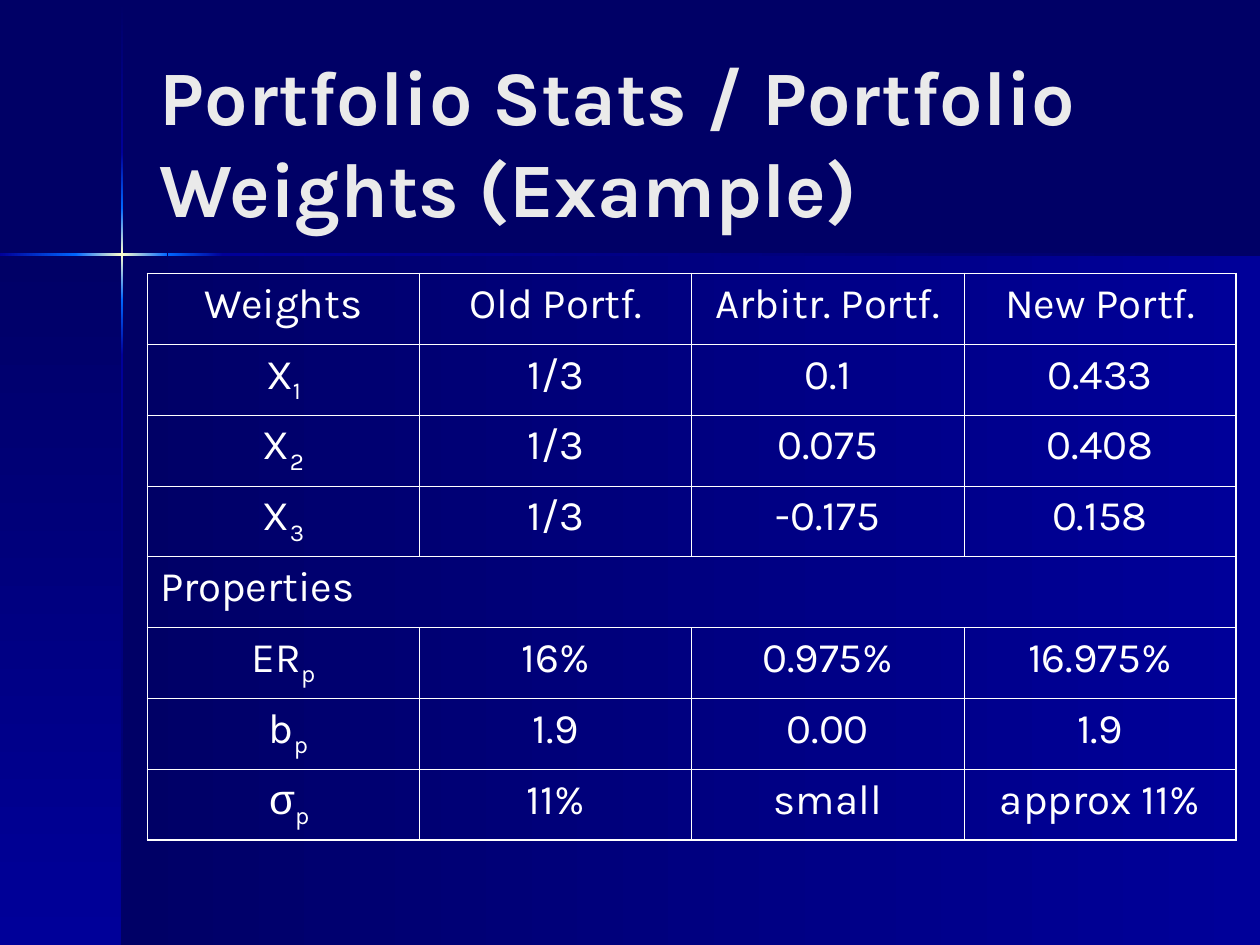
from copy import deepcopy
from typing import NamedTuple

from lxml.etree import SubElement
from pptx import Presentation
from pptx.dml.color import RGBColor
from pptx.enum.shapes import MSO_SHAPE as Shape
from pptx.enum.text import MSO_ANCHOR as Anchor, PP_ALIGN as Align
from pptx.oxml import parse_xml
from pptx.oxml.ns import nsdecls, qn
from pptx.util import Pt

COLORS = {
    "night": "000066",
    "navy": "000099",
    "blue": "0066FF",
    "glow": "FFFFCC",
    "title": "EAEAEA",
    "white": "FFFFFF",
}
FONT = "Karla"
OUTER, INNER = 1.08, 0.45
DOWN, LEFTWARD = 270, 180
RAY = 1.44
RAY_X, RAY_Y = 69.12, 144.72
SUBSCRIPT = "_"


class Band(NamedTuple):
    left: float
    top: float
    width: float
    height: float
    angle: int
    stops: tuple[str, ...]


class Ray(NamedTuple):
    start: float
    length: float
    stops: tuple[str, ...]


GLINT = ("blue", "glow", "blue")
PANELS = [
    Band(69.84, 145.44, 650.16, 394.56, LEFTWARD, ("navy", "night")),
    Band(0, 145.44, 69.84, 394.56, DOWN, ("night", "navy")),
]
VERTICAL_RAYS = [
    Ray(0.72, 86.4, ("night", "navy")),
    Ray(203.04, 336.96, ("navy", "night")),
    Ray(171.36, 31.68, ("blue", "navy")),
    Ray(87.12, 31.68, ("navy", "blue")),
    Ray(118.8, 52.56, GLINT),
]
HORIZONTAL_RAYS = [
    Ray(127.44, 592.56, ("night", "navy")),
    Ray(0, 43.92, ("blue", "navy")),
    Ray(95.76, 31.68, ("navy", "blue")),
    Ray(43.2, 52.56, GLINT),
]
ROWS = [
    ["Weights", "Old Portf.", "Arbitr. Portf.", "New Portf."],
    ["X_1", "1/3", "0.1", "0.433"],
    ["X_2", "1/3", "0.075", "0.408"],
    ["X_3", "1/3", "-0.175", "0.158"],
    ["Properties"],
    ["ER_p", "16%", "0.975%", "16.975%"],
    [" b_p", "1.9", "0.00", "1.9"],
    [" σ_p", "11%", "small", "approx 11%"],
]
COLUMN_COUNT = len(ROWS[0])
COLUMN_WIDTH, ROW_HEIGHT = 155.52, 40.5


def rgb(name: str) -> RGBColor:
    return RGBColor.from_string(COLORS[name])


def write(frame, text: str, *, size: float, color: str, bold: bool = False,
          align: Align = Align.LEFT) -> None:
    """Fill the frame; what follows an underscore becomes a subscript."""
    para = frame.paragraphs[0]
    para.alignment = align
    for index, part in enumerate(text.split(SUBSCRIPT)):
        span = para.add_run()
        span.text = part
        span.font.name = "Arial" if "σ" in part else FONT
        span.font.size = Pt(size)
        span.font.bold = bold
        span.font.color.rgb = rgb(color)
        if index:
            span.font._element.set("baseline", "-25000")


def draw_band(page, band: Band) -> None:
    shape = page.shapes.add_shape(
        Shape.RECTANGLE, Pt(band.left), Pt(band.top), Pt(band.width), Pt(band.height))
    shape.shadow.inherit = False
    shape.line.fill.background()
    shape.fill.gradient()
    shape.fill.gradient_angle = band.angle
    stop_list = shape._element.spPr.find(".//" + qn("a:gsLst"))
    for _ in band.stops[2:]:
        stop_list.append(deepcopy(stop_list[-1]))
    for index, (stop, name) in enumerate(zip(shape.fill.gradient_stops, band.stops)):
        stop.position = index / (len(band.stops) - 1)
        stop.color.rgb = rgb(name)


def draw_background(page) -> None:
    page.background.fill.solid()
    page.background.fill.fore_color.rgb = rgb("night")
    vertical = [Band(RAY_X, ray.start, RAY, ray.length, DOWN, ray.stops)
                for ray in VERTICAL_RAYS]
    horizontal = [Band(ray.start, RAY_Y, ray.length, RAY, LEFTWARD, ray.stops)
                  for ray in HORIZONTAL_RAYS]
    for band in PANELS + vertical + horizontal:
        draw_band(page, band)


def set_borders(cell, widths: dict[str, float]) -> None:
    """Set the border of each side in points; zero hides it."""
    properties = cell._tc.get_or_add_tcPr()
    for index, (side, width) in enumerate(widths.items()):
        line = parse_xml(f'<a:ln{side} {nsdecls("a")} w="{Pt(width)}"/>')
        if width:
            fill = SubElement(line, qn("a:solidFill"))
            SubElement(fill, qn("a:srgbClr"), val=COLORS["white"])
        else:
            SubElement(line, qn("a:noFill"))
        properties.insert(index, line)


def draw_table(page) -> None:
    table = page.shapes.add_table(
        len(ROWS), COLUMN_COUNT, Pt(84.24), Pt(156.24),
        Pt(COLUMN_WIDTH * COLUMN_COUNT), Pt(ROW_HEIGHT * len(ROWS))).table
    table.first_row = table.horz_banding = False
    for column in table.columns:
        column.width = Pt(COLUMN_WIDTH)
    last_row, last_column = len(ROWS) - 1, COLUMN_COUNT - 1
    for r, texts in enumerate(ROWS):
        table.rows[r].height = Pt(ROW_HEIGHT)
        merged = len(texts) == 1
        if merged:
            table.cell(r, 0).merge(table.cell(r, last_column))
        for c in range(COLUMN_COUNT):
            cell = table.cell(r, c)
            cell.fill.background()
            inside = 0 if merged else INNER
            ends_row = c == last_column or cell.is_merge_origin
            set_borders(cell, {
                "L": OUTER if c == 0 else inside,
                "R": OUTER if ends_row else inside,
                "T": OUTER if r == 0 else INNER,
                "B": OUTER if r == last_row else INNER,
            })
            if c < len(texts):
                write(cell.text_frame, texts[c], size=24, color="white",
                      align=Align.LEFT if merged else Align.CENTER)


def main() -> None:
    deck = Presentation()
    deck.slide_width, deck.slide_height = Pt(720), Pt(540)
    page = deck.slides.add_slide(deck.slide_layouts[6])
    draw_background(page)
    box = page.shapes.add_textbox(Pt(84.24), Pt(23.76), Pt(594), Pt(113.04))
    box.text_frame.word_wrap = True
    box.text_frame.vertical_anchor = Anchor.MIDDLE
    write(box.text_frame, "Portfolio Stats / Portfolio Weights (Example)",
          size=44, color="title", bold=True)
    draw_table(page)
    deck.save("out.pptx")


if __name__ == "__main__":
    main()
